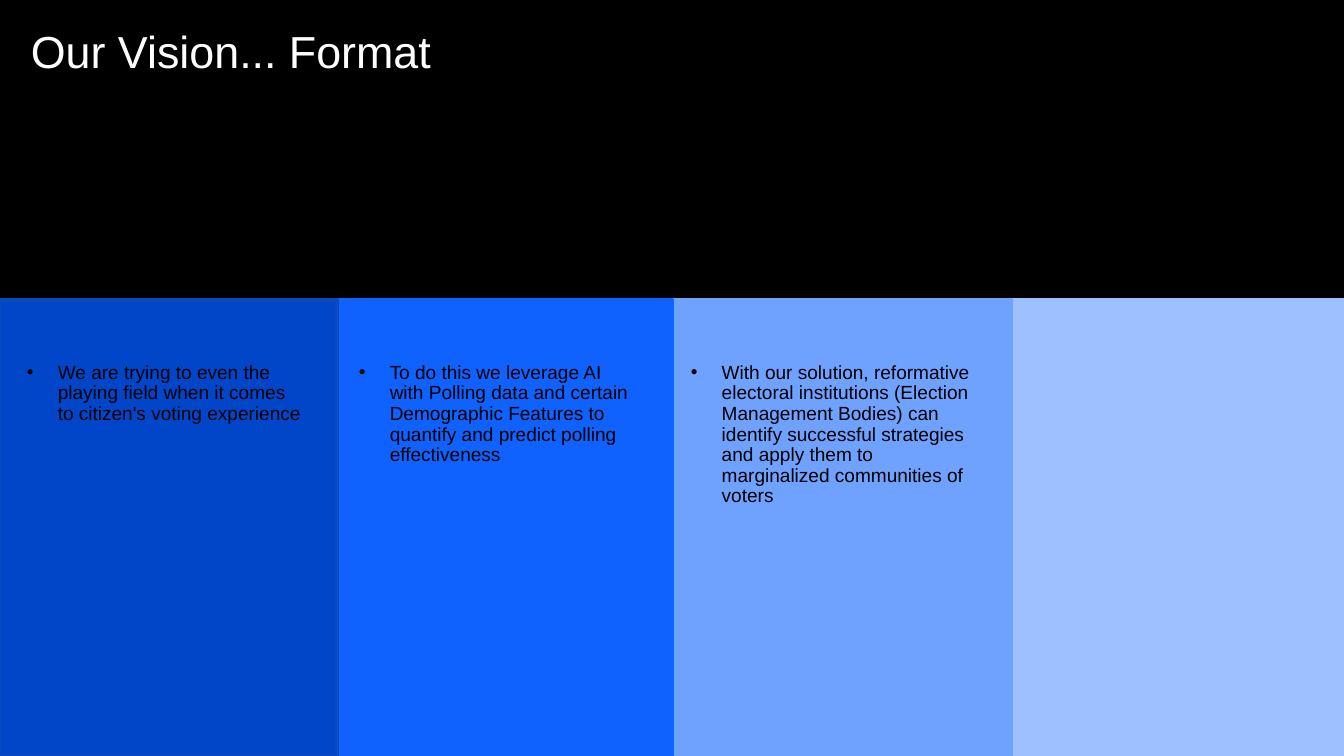
import dataclasses

import pptx
import pptx.dml.color
import pptx.enum.shapes
import pptx.enum.text
import pptx.util
from lxml import etree
from pptx.util import Inches


@dataclasses.dataclass(frozen=True)
class Theme:
    """Colours, font and type sizes of the deck."""
    background: str = "000000"
    title_ink: str = "FFFFFF"
    body_ink: str = "000000"
    pale: str = "9FC0FF"
    light: str = "6FA1FE"
    bright: str = "0F62FE"
    deep: str = "0146C9"
    deep_edge: str = "0B49BC"
    font: str = "Arial"
    title_size: float = 24
    body_size: float = 10.2


THEME = Theme()
STATEMENTS = [
    "We are trying to even the playing field when it comes to citizen's voting experience",
    "To do this we leverage AI with Polling data and certain Demographic Features "
    "to quantify and predict polling effectiveness",
    "With our solution, reformative electoral institutions (Election Management Bodies) can "
    "identify successful strategies and apply them to marginalized communities of voters",
]


def rgb(colour):
    """Turn a hex string into a colour."""
    return pptx.dml.color.RGBColor.from_string(colour)


def place(shape, left, top, width, height):
    """Set the box of a shape in inches."""
    shape.left, shape.top = Inches(left), Inches(top)
    shape.width, shape.height = Inches(width), Inches(height)


def write(placeholder, text, size, colour, insets):
    """Fill a placeholder with one left-aligned paragraph and return it."""
    frame = placeholder.text_frame
    frame.text = text
    frame.word_wrap = True
    frame.vertical_anchor = pptx.enum.text.MSO_ANCHOR.TOP
    frame.margin_left, frame.margin_right = Inches(insets[0]), Inches(insets[1])
    frame.margin_top = frame.margin_bottom = Inches(insets[2])
    paragraph = frame.paragraphs[0]
    paragraph.alignment = pptx.enum.text.PP_ALIGN.LEFT
    paragraph.line_spacing = 0.9
    font = paragraph.runs[0].font
    font.name, font.size, font.bold = THEME.font, pptx.util.Pt(size), False
    font.color.rgb = rgb(colour)
    return paragraph


def add_panels(slide, left, top, width, height):
    """Stack overlapping panels so that four columns stay visible."""
    half, quarter, bleed = width / 2, width / 4 + 0.02, 0.01
    panels = [
        (half, half, THEME.pale, THEME.pale),
        (half, quarter, THEME.light, THEME.light),
        (-bleed, half + bleed, THEME.bright, THEME.bright),
        (-bleed, quarter, THEME.deep, THEME.deep_edge),
    ]
    for offset, panel_width, fill, edge in panels:
        panel = slide.shapes.add_shape(
            pptx.enum.shapes.MSO_SHAPE.RECTANGLE,
            Inches(left + offset), Inches(top), Inches(panel_width), Inches(height))
        panel.shadow.inherit = False
        panel.fill.solid()
        panel.fill.fore_color.rgb = rgb(fill)
        panel.line.color.rgb = rgb(edge)
        panel.line.width = pptx.util.Pt(2)


def add_title(slide, left, top, width, height):
    """Place the slide title above the panels."""
    title = slide.shapes.title
    place(title, left, top, width, height)
    write(title, "Our Vision... Format", THEME.title_size, THEME.title_ink, (0, 0, 0))
    title.text_frame.auto_size = pptx.enum.text.MSO_AUTO_SIZE.NONE
    title.element.getparent().append(title.element)


def add_statement(body, text, left, top, width, height):
    """Place one bulleted statement in a body placeholder above the panels."""
    place(body, left, top, width, height)
    paragraph = write(body, text, THEME.body_size, THEME.body_ink, (0.07, 0.1, 0.04))
    paragraph.space_before = pptx.util.Pt(7.5)
    body.text_frame.auto_size = pptx.enum.text.MSO_AUTO_SIZE.SHAPE_TO_FIT_TEXT
    properties = paragraph._p.get_or_add_pPr()
    properties.set("marL", str(Inches(0.23)))
    properties.set("indent", str(-Inches(0.23)))
    namespace = etree.QName(properties).namespace
    etree.SubElement(properties, f"{{{namespace}}}buFont", typeface=THEME.font)
    etree.SubElement(properties, f"{{{namespace}}}buChar", char="•")
    body.element.getparent().append(body.element)


def add_statements(slide, left, top, pitch, width):
    """Spread the statements over the first three columns."""
    bodies = [shape for shape in slide.placeholders if shape.placeholder_format.idx in (1, 2, 3, 4)]
    heights = [0.71, 1.28, 1.42]
    for index, (body, text, height) in enumerate(zip(bodies, STATEMENTS, heights)):
        add_statement(body, text, left + index * pitch, top, width, height)
    for spare in bodies[len(STATEMENTS):]:
        spare.element.getparent().remove(spare.element)


def main():
    """Build and save the vision slide."""
    deck = pptx.Presentation()
    deck.slide_width = Inches(10)
    deck.slide_height = deck.slide_width * 9 // 16
    slide = deck.slides.add_slide(deck.slide_layouts.get_by_name("Comparison"))
    slide.background.fill.solid()
    slide.background.fill.fore_color.rgb = rgb(THEME.background)
    add_panels(slide, 0, 2.23, 10, 3.4)
    add_title(slide, 0.23, 0.22, 4.53, 4.7)
    add_statements(slide, 0.13, 2.66, 2.47, 2.25)
    deck.save("out.pptx")


if __name__ == "__main__":
    main()
